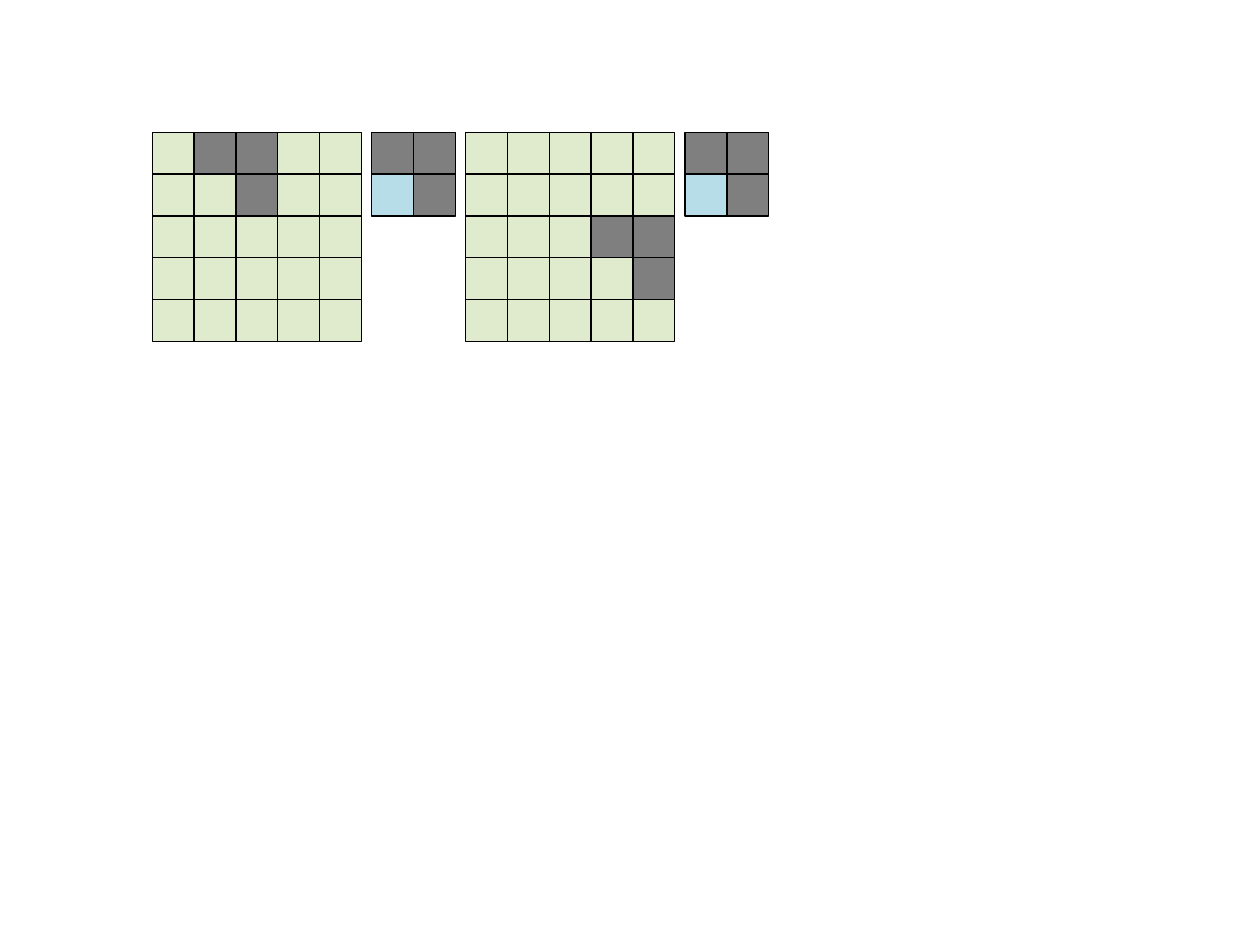
from lxml.etree import SubElement
from pptx import Presentation
from pptx.dml.color import RGBColor
from pptx.enum.shapes import MSO_SHAPE as SHAPE
from pptx.oxml.ns import qn
from pptx.util import Pt

CELL, GAP = 23.9, 5.9
LEFT, TOP = 87, 75.6

# Letter: fill colour and opacity in percent
FILLS = {"g": ("C3D69B", 50), "k": ("000000", 50), "b": ("B7DEE8", 100)}

MASK = ["kk", "bk"]
GRIDS = [
    ["gkkgg", "ggkgg", "ggggg", "ggggg", "ggggg"],
    MASK,
    ["ggggg", "ggggg", "gggkk", "ggggk", "ggggg"],
    MASK,
]


def paint(fill, color, alpha=100):
    """Set a solid fill from a hex string and an opacity in percent."""
    fill.solid()
    fill.fore_color.rgb = RGBColor.from_string(color)
    if alpha < 100:
        tone = fill._xPr.find(".//" + qn("a:srgbClr"))
        SubElement(tone, qn("a:alpha")).set("val", str(alpha * 1000))


def add_cell(group, left, top, key):
    """Add one square cell with a hairline border to the group."""
    cell = group.shapes.add_shape(
        SHAPE.RECTANGLE, Pt(left), Pt(top), Pt(CELL), Pt(CELL))
    cell.shadow.inherit = False
    paint(cell.fill, *FILLS[key])
    paint(cell.line.fill, "000000")
    cell.line.width = Pt(0)


def add_grid(slide, left, top, rows):
    """Add a group of cells, one for each letter, and return its width."""
    group = slide.shapes.add_group_shape()
    for i, row in enumerate(rows):
        for j, key in enumerate(row):
            add_cell(group, left + j * CELL, top + i * CELL, key)
    return len(rows[0]) * CELL


def main():
    """Build the slide with the grids side by side."""
    deck = Presentation()
    deck.slide_width, deck.slide_height = Pt(720), Pt(540)
    slide = deck.slides.add_slide(deck.slide_layouts[6])
    left = LEFT
    for rows in GRIDS:
        left += add_grid(slide, left, TOP, rows) + GAP
    deck.save("out.pptx")


main()
